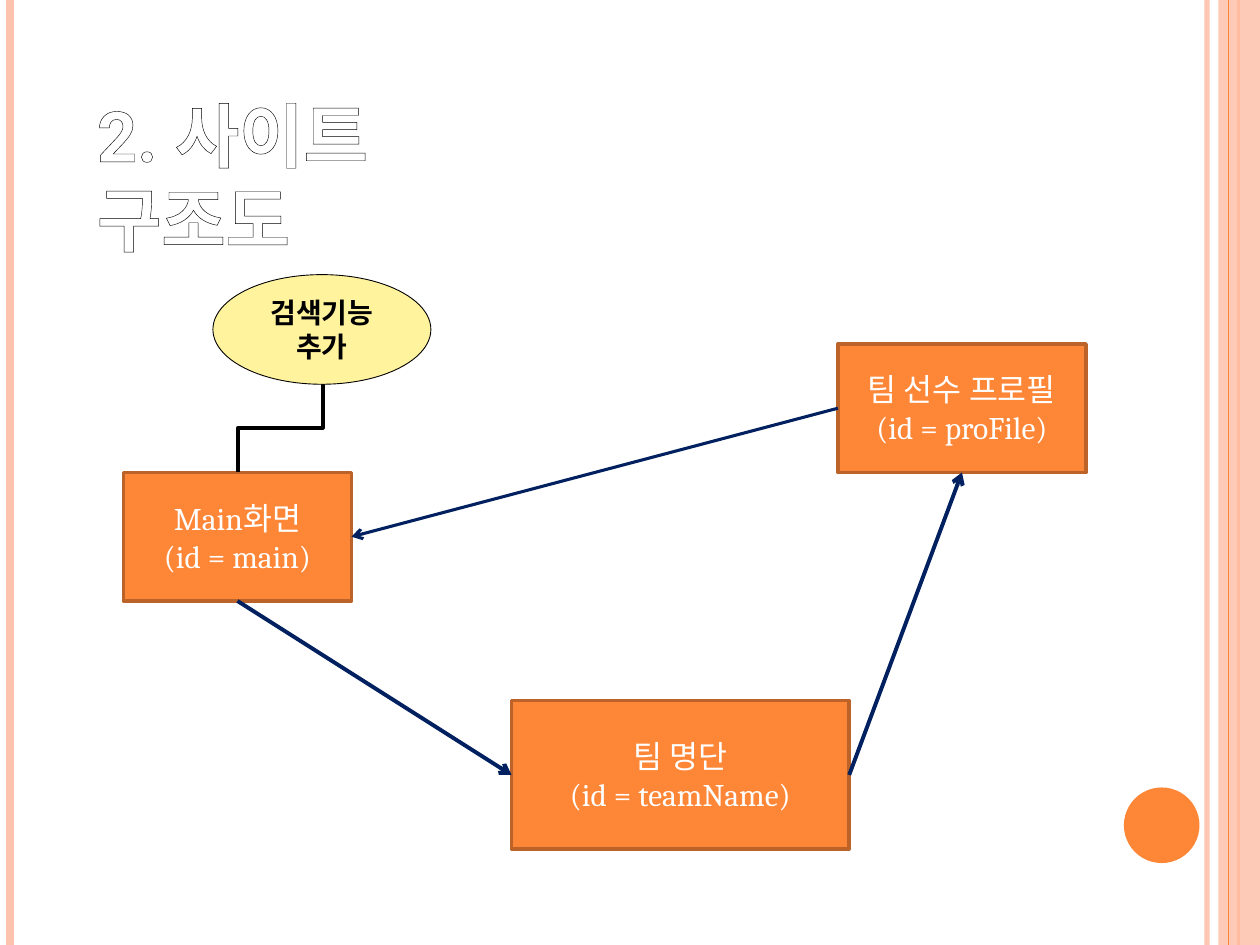
from lxml import etree
from pptx import Presentation
from pptx.dml.color import RGBColor
from pptx.enum.shapes import MSO_CONNECTOR, MSO_SHAPE
from pptx.enum.text import MSO_ANCHOR, MSO_AUTO_SIZE, PP_ALIGN
from pptx.oxml.ns import qn
from pptx.util import Inches, Pt

RECT, OVAL = MSO_SHAPE.RECTANGLE, MSO_SHAPE.OVAL
LINE, ELBOW = MSO_CONNECTOR.STRAIGHT, MSO_CONNECTOR.ELBOW
TOP, MIDDLE = MSO_ANCHOR.TOP, MSO_ANCHOR.MIDDLE
LEFT, CENTER = PP_ALIGN.LEFT, PP_ALIGN.CENTER
FIXED = MSO_AUTO_SIZE.NONE
WEST, SOUTH, EAST = 1, 2, 3

COLORS = {
    "white": "FFFFFF",
    "black": "000000",
    "orange": "FE8637",
    "rust": "BC6329",
    "peach": "FEC3AE",
    "yellow": "FFF39D",
    "navy": "002060",
}
BOX = {"name": "Cambria", "size": Pt(18), "bold": False}
NOTE = {"name": "Cambria", "size": Pt(16), "bold": True}
HEAD = {"name": "Roboto", "size": Pt(40), "bold": True}


def color(name):
    return RGBColor.from_string(COLORS[name])


def fade(parent, alpha):
    tint = next(parent.iter(qn("a:srgbClr")))
    etree.SubElement(tint, qn("a:alpha")).set("val", str(alpha * 1000))


class Deck:
    def __init__(self):
        self.show = Presentation()
        self.show.slide_width, self.show.slide_height = Inches(10), Inches(7.5)
        self.slide = self.show.slides.add_slide(self.show.slide_layouts[5])

    def label(self, frame, lines, form, tone, align, anchor):
        frame.word_wrap = True
        frame.auto_size = FIXED
        frame.vertical_anchor = anchor
        frame.text = "\n".join(lines)
        for para in frame.paragraphs:
            para.alignment = align
            for run in para.runs:
                for key, value in form.items():
                    setattr(run.font, key, value)
                run.font.color.rgb = color(tone)

    def title(self, text, left, top, width, height):
        shape = self.slide.shapes.title
        shape.left, shape.top = Inches(left), Inches(top)
        shape.width, shape.height = Inches(width), Inches(height)
        self.label(shape.text_frame, [text], HEAD, "white", LEFT, TOP)
        run = shape.text_frame.paragraphs[0].runs[0]
        edge = etree.Element(qn("a:ln"), w=str(Pt(1.25)))
        fill = etree.SubElement(edge, qn("a:solidFill"))
        etree.SubElement(fill, qn("a:srgbClr"), val=COLORS["black"])
        run._r.get_or_add_rPr().insert(0, edge)

    def shape(self, kind, left, top, width, height, fill, edge=None, weight=0):
        shape = self.slide.shapes.add_shape(
            kind, Inches(left), Inches(top), Inches(width), Inches(height))
        shape.shadow.inherit = False
        shape.fill.solid()
        shape.fill.fore_color.rgb = color(fill)
        if edge:
            shape.line.color.rgb = color(edge)
            shape.line.width = Pt(weight)
        else:
            shape.line.fill.background()
        return shape

    def box(self, lines, *place):
        shape = self.shape(RECT, *place, "orange", "rust", 2)
        self.label(shape.text_frame, lines, BOX, "white", CENTER, MIDDLE)
        return shape

    def note(self, lines, *place):
        shape = self.shape(OVAL, *place, "yellow", "black", 0.5)
        self.label(shape.text_frame, lines, NOTE, "black", CENTER, MIDDLE)

    def line(self, start, end, tone, weight, kind=LINE):
        points = [Inches(value) for value in (*start, *end)]
        line = self.slide.shapes.add_connector(kind, *points)
        line.line.color.rgb = color(tone)
        line.line.width = Pt(weight)
        etree.SubElement(line._element.spPr, qn("a:effectLst"))
        return line

    def rail(self, left, tone, weight):
        return self.line((left, 0), (left, 7.5), tone, weight)

    def arrow(self, first, begin, last, end, weight):
        line = self.line((0, 0), (1, 1), "navy", weight)
        line.begin_connect(first, begin)
        line.end_connect(last, end)
        edge = line._element.spPr.find(qn("a:ln"))
        etree.SubElement(edge, qn("a:tailEnd"), type="arrow")

    def drop(self, start, end, tone, weight):
        (x1, y1), (x2, y2) = start, end
        wide, high = y2 - y1, x1 - x2
        left, top = (x1 + x2 - wide) / 2, (y1 + y2 - high) / 2
        line = self.line((left, top), (left + wide, top + high),
                         tone, weight, ELBOW)
        line._element.spPr.find(qn("a:xfrm")).set("rot", str(90 * 60000))


def main():
    deck = Deck()
    fade(deck.rail(9.58, "peach", 3)._element.spPr, 93)
    deck.rail(0.08, "peach", 4.5)
    deck.rail(9.83, "orange", 1.5)
    band = deck.shape(RECT, 9.67, 0, 0.33, 7.5, "peach")
    fade(band._element.spPr, 87)
    deck.rail(9.75, "orange", 0.75)
    deck.shape(OVAL, 8.92, 6.25, 0.6, 0.6, "orange")

    team = deck.box(["팀 명단", "(id = teamName)"], 4.06, 5.56, 2.68, 1.18)
    home = deck.box(["Main화면", "(id = main)"], 0.98, 3.75, 1.81, 1.02)
    player = deck.box(["팀 선수 프로필", "(id = proFile)"],
                      6.65, 2.73, 1.97, 1.02)
    deck.drop((2.56, 3.04), (1.89, 3.75), "black", 2.25)
    deck.note(["검색기능", "추가"], 1.69, 2.18, 1.73, 0.87)

    deck.arrow(home, SOUTH, team, WEST, 2.25)
    deck.arrow(team, EAST, player, SOUTH, 2.25)
    deck.arrow(player, WEST, home, EAST, 1.75)
    deck.title("2. 사이트 구조도", 0.67, 0.68, 3.41, 0.77)
    deck.show.save("out.pptx")


if __name__ == "__main__":
    main()
